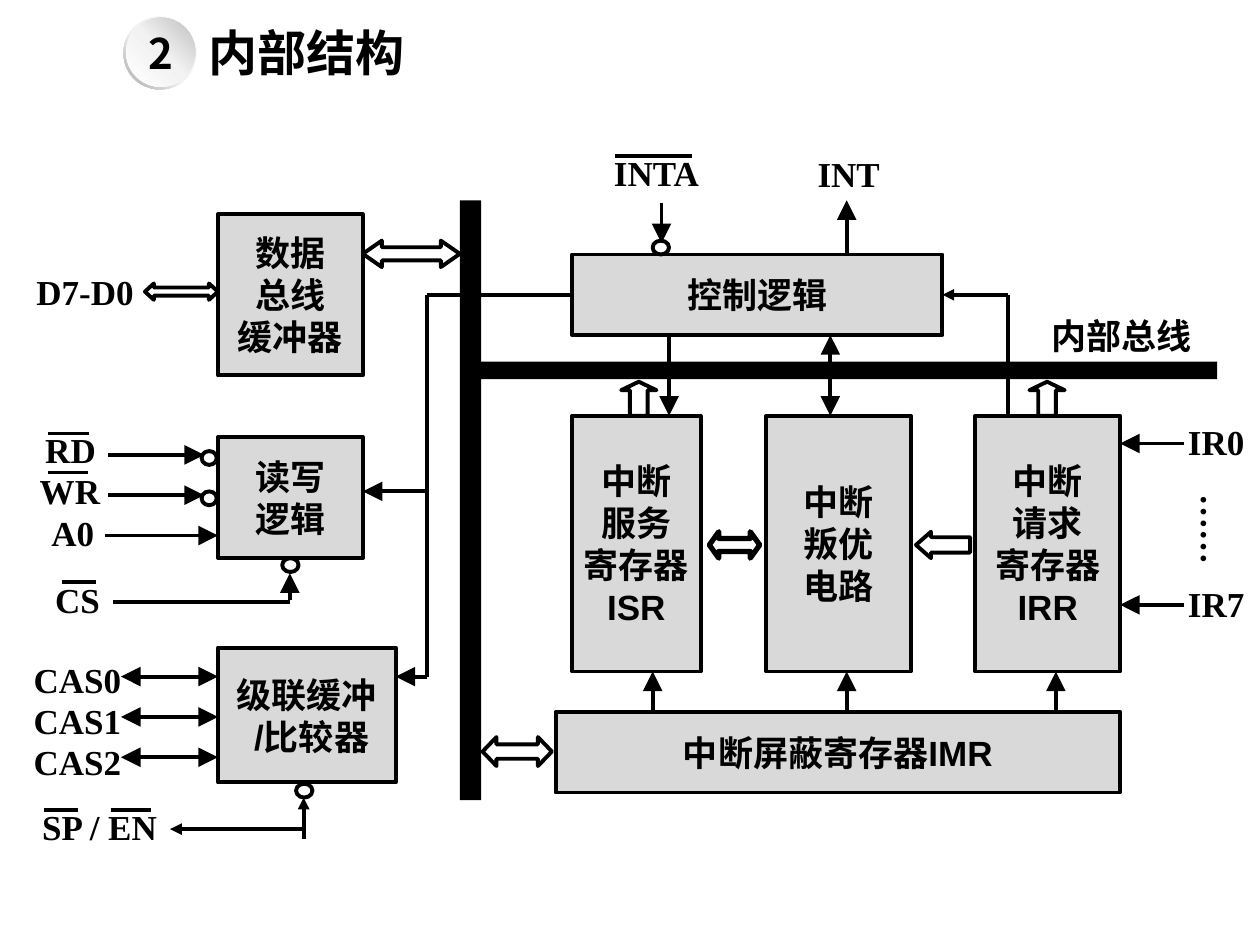
from dataclasses import dataclass
from lxml import etree
from pptx import Presentation
from pptx import util as u
from pptx.dml.color import RGBColor
from pptx.enum import shapes, text
from pptx.oxml.ns import qn

MS = shapes.MSO_SHAPE
COLS, ROWS = 100, 75


@dataclass(frozen=True)
class Theme:
    ink: str = "000000"
    block: str = "D9D9D9"
    rim: tuple = ((0, "FFFFFF"), (55, "F2F2F2"), (100, "A6A6A6"))
    disc: tuple = ((0, "FFFFFF"), (51, "F2F2F2"), (100, "BFBFBF"))
    sans: str = "Arial"
    serif: str = "Times New Roman"
    title: str = "Calibri"
    number: str = "Noto Sans CJK SC"
    body_pt: float = 20
    title_pt: float = 28
    number_pt: float = 24
    line_pt: float = 2.25
    heavy_pt: float = 3
    bar_pt: float = 2


T = Theme()


def rgb(code):
    return RGBColor.from_string(code)


def write(sp, words, font, size=T.body_pt, align=text.PP_ALIGN.CENTER):
    tf = sp.text_frame
    tf.text = words
    for p in tf.paragraphs:
        p.alignment = align
        p.font.size, p.font.name, p.font.bold = u.Pt(size), font, True
        p.font.color.rgb = rgb(T.ink)
    return tf


def no_inset(tf):
    tf.margin_left = tf.margin_right = tf.margin_top = tf.margin_bottom = 0


def shade(sp, stops, angle):
    sp.fill.gradient()
    sp.fill.gradient_angle = angle
    gs_list = sp._element.spPr.find(qn("a:gradFill")).find(qn("a:gsLst"))
    for gs in list(gs_list):
        gs_list.remove(gs)
    for share, code in stops:
        gs = etree.SubElement(gs_list, qn("a:gs"), pos=str(share * 1000))
        etree.SubElement(gs, qn("a:srgbClr"), val=code)


@dataclass
class Box:
    slide: object
    cell: tuple
    col: float
    row: float

    def x(self, col):
        return round((self.col + col) * self.cell[0])

    def y(self, row):
        return round((self.row + row) * self.cell[1])

    def shape(self, kind, c, r, w, h, fill=None, line=T.line_pt, adj=()):
        sp = self.slide.shapes.add_shape(
            kind, self.x(c), self.y(r), round(w * self.cell[0]), round(h * self.cell[1]))
        sp.shadow.inherit = False
        for i, value in enumerate(adj):
            sp.adjustments[i] = value
        if fill:
            sp.fill.solid()
            sp.fill.fore_color.rgb = rgb(fill)
        else:
            sp.fill.background()
        if line:
            sp.line.width = u.Pt(line)
            sp.line.color.rgb = rgb(T.ink)
        else:
            sp.line.fill.background()
        return sp

    def block(self, c, r, w, h, words, inset=True):
        sp = self.shape(MS.RECTANGLE, c, r, w, h, T.block)
        tf = write(sp, words, T.sans)
        tf.word_wrap = False
        tf.vertical_anchor = text.MSO_ANCHOR.MIDDLE
        if not inset:
            no_inset(tf)
        return sp

    def ring(self, c, r):
        return self.shape(MS.OVAL, c, r, 1.3, 1.1)

    def label(self, c, r, w, h, words, font=T.serif, size=T.body_pt, tight=False):
        sp = self.slide.shapes.add_textbox(
            self.x(c), self.y(r), round(w * self.cell[0]), round(h * self.cell[1]))
        align = text.PP_ALIGN.CENTER if tight else text.PP_ALIGN.LEFT
        tf = write(sp, words, font, size, align)
        tf.word_wrap = True
        tf.auto_size = text.MSO_AUTO_SIZE.SHAPE_TO_FIT_TEXT
        if tight:
            no_inset(tf)
        return sp

    def link(self, c1, r1, c2, r2, ends="", size="lg", width=T.line_pt):
        cn = self.slide.shapes.add_connector(
            shapes.MSO_CONNECTOR.STRAIGHT, self.x(c1), self.y(r1), self.x(c2), self.y(r2))
        cn.line.width = u.Pt(width)
        cn.line.color.rgb = rgb(T.ink)
        for mark, tag in (("<", "a:headEnd"), (">", "a:tailEnd")):
            if mark in ends:
                etree.SubElement(cn.line._get_or_add_ln(), qn(tag),
                                 type="triangle", w=size, len=size)
        etree.SubElement(cn._element.spPr, qn("a:effectLst"))
        return cn

    def overbar(self, c1, c2, r):
        return self.link(c1, r, c2, r, width=T.bar_pt)


def heading(b):
    b.label(5.8, 0, 18.1, 5.7, "内部结构", T.title, T.title_pt)
    rim = b.shape(MS.DONUT, 0, 0, 5.8, 5.8, line=None, adj=[0.05])
    shade(rim, T.rim, 225)
    disc = b.shape(MS.OVAL, 0.2, 0.1, 5.5, 5.5, line=None)
    shade(disc, T.disc, 45)
    tf = write(disc, "2", T.number, T.number_pt)
    tf.vertical_anchor = text.MSO_ANCHOR.MIDDLE


def buses(b):
    b.shape(MS.RECTANGLE, 0, 0, 1.7, 47.6, T.ink, None)
    b.shape(MS.RECTANGLE, 1.3, 12.8, 58.8, 1.4, T.ink, None)
    b.label(46, 8.6, 15.3, 4.3, "内部总线", T.sans)


def data_buffer(b):
    b.block(17.3, 0, 11.5, 12.8, "数据\n总线\n缓冲器")
    b.shape(MS.LEFT_RIGHT_ARROW, 28.8, 2.1, 7.7, 2.1, adj=[0.5, 0.72])
    b.shape(MS.LEFT_RIGHT_ARROW, 11.5, 5.5, 5.8, 1.3, adj=[0.5, 0.55])
    b.label(1.9, 4, 11.5, 4.4, "D7-D0")


def read_write(b):
    b.block(17.3, 0.7, 11.5, 9.6, "读写\n逻辑")
    for row in (2.1, 5.3):
        b.link(8.6, row, 16.2, row, ">")
        b.shape(MS.OVAL, 16, row - 0.3, 1.2, 1.1)
    b.link(8.3, 8.5, 17.3, 8.5, ">")
    b.label(3.1, 6.1, 7.7, 4.4, "A0")
    b.ring(22.4, 10.3)
    b.link(23, 13.6, 23, 11.5, ">")
    b.link(23, 13.8, 9, 13.8)
    for c, r, w, name, start, end, bar in (
            (3.2, 0, 4.8, "RD", 3.8, 7.1, 0.4),
            (2.6, 3.3, 5.9, "WR", 3.8, 7, 3.5),
            (3.5, 11.9, 5.3, "CS", 4.9, 7.6, 12.2)):
        b.label(c, r, w, 3.4, name, tight=True)
        b.overbar(start, end, bar)


def cascade(b):
    b.block(17.3, 0, 14.1, 10.7, "级联缓冲\n /比较器", inset=False)
    for i, row in enumerate((2.3, 5.5, 8.7)):
        b.link(17.3, row, 9.6, row, "<>")
        b.label(2.6, 0.85 + 3.25 * i, 7.1, 3.4, f"CAS{i}", tight=True)
    b.ring(23.5, 10.8)
    b.link(24.1, 15.2, 24.1, 11.9, ">", "med")
    b.link(24, 14.4, 13.5, 14.4, ">", "med")
    b.label(2.8, 12.5, 10.2, 3.4, "SP / EN", tight=True)
    b.overbar(3.5, 6.2, 12.9)
    b.overbar(8.8, 12, 12.9)


def control(b):
    sp = b.block(0, 8.6, 29.4, 6.4, "控制逻辑")
    b.label(3.3, 0.4, 6.8, 3.4, "INTA", tight=True).text_frame.word_wrap = False
    b.link(3.4, 0.8, 9.5, 0.8)
    b.link(7.1, 4.5, 7.1, 7.7, ">")
    b.ring(6.4, 7.5)
    b.label(18.5, 0, 10, 4.4, "INT")
    b.link(21.8, 8.6, 21.8, 4.3, ">")
    b.link(7.7, 15, 7.7, 21.4, ">")
    b.link(20.5, 15, 20.5, 21.4, "<>")
    feed = b.link(29.4, 11.8, -11.5, 11.8)
    feed.begin_connect(sp, 1)
    b.link(-11.5, 11.8, -11.5, 42.1)
    b.link(-11.5, 27.4, -16.6, 27.4, ">")
    b.link(-11.5, 42.1, -14, 42.1, ">")
    b.link(34.6, 21.4, 34.6, 11.8)
    request = b.link(34.6, 11.8, 29.4, 11.8, ">", "med")
    request.end_connect(sp, 3)


def registers(b):
    for c, w, words in ((0, 10.2, "中断\n服务\n寄存器\nISR"),
                        (15.4, 11.5, "中断\n叛优\n电路"),
                        (32, 11.5, "中断\n请求\n寄存器\nIRR")):
        b.block(c, 2.7, w, 20.3, words)
    for c in (3.9, 36.3):
        b.shape(MS.UP_ARROW, c, 0, 2.8, 2.7, adj=[0.5, 0.25])
    b.shape(MS.LEFT_RIGHT_ARROW, 10.9, 11.9, 4, 2.1, line=T.heavy_pt, adj=[0.49, 0.36])
    b.shape(MS.LEFT_ARROW, 27.3, 11.9, 4.3, 2.1, adj=[0.58, 0.57])
    b.block(-1.3, 26.2, 44.8, 6.4, "中断屏蔽寄存器IMR")
    b.shape(MS.LEFT_RIGHT_ARROW, -7.1, 28.2, 5.5, 2.3, adj=[0.5, 0.48])
    for c in (6.4, 21.8, 38.4):
        b.link(c, 26.2, c, 23, ">")
    for name, row in (("IR0", 4.9), ("IR7", 17.7)):
        b.link(48.6, row, 43.5, row, ">")
        b.label(47.9, row - 2.3, 6.7, 4.3, name)
    dots = b.label(46.5, 8, 6.7, 9.6, "……")
    dots.text_frame._txBody.bodyPr.set("vert", "eaVert")


def main():
    prs = Presentation()
    prs.slide_width, prs.slide_height = u.Inches(10), u.Inches(7.5)
    slide = prs.slides.add_slide(prs.slide_layouts[6])
    cell = prs.slide_width / COLS, prs.slide_height / ROWS
    for region, col, row in ((heading, 9.8, 1.3), (buses, 36.5, 15.9),
                             (data_buffer, 0, 17), (read_write, 0, 34),
                             (cascade, 0, 51.4), (control, 45.4, 11.6),
                             (registers, 45.4, 30.3)):
        region(Box(slide, cell, col, row))
    prs.save("out.pptx")


if __name__ == "__main__":
    main()
